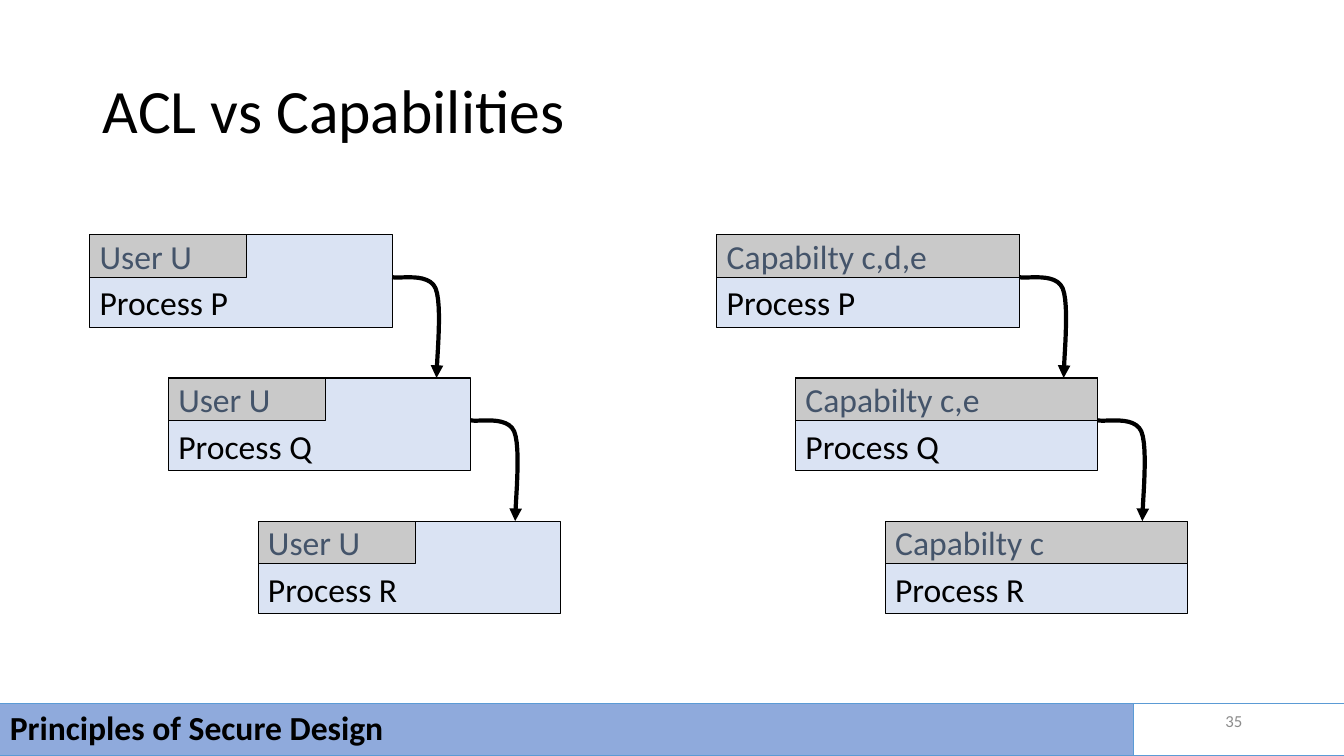
from lxml.etree import SubElement
from pptx import Presentation
from pptx.dml.color import RGBColor
from pptx.enum.shapes import MSO_SHAPE
from pptx.enum.text import MSO_ANCHOR, PP_ALIGN
from pptx.oxml.ns import qn
from pptx.util import Inches, Pt


def colour(value):
    return RGBColor.from_string(value)


def bezier(start, first, second, end, steps=12):
    for step in range(1, steps + 1):
        t = step / steps
        weights = ((1 - t) ** 3, 3 * t * (1 - t) ** 2, 3 * t * t * (1 - t), t ** 3)
        yield tuple(sum(w * point[axis] for w, point in zip(weights, (start, first, second, end)))
                    for axis in (0, 1))


class SlideBuilder:
    font = "Calibri"
    ink = "000000"
    rule = "5B9BD5"

    def __init__(self, slide):
        self.slide = slide
        self.shapes = slide.shapes

    def set_wording(self, frame, wording, size=24, ink=ink, bold=False,
                    anchor=MSO_ANCHOR.MIDDLE, align=PP_ALIGN.LEFT, spacing=None):
        frame.word_wrap = True
        frame.vertical_anchor = anchor
        frame.text = wording
        paragraph = frame.paragraphs[0]
        paragraph.alignment = align
        paragraph.line_spacing = spacing
        paragraph.font.name = self.font
        paragraph.font.size = Pt(size)
        paragraph.font.bold = bold
        paragraph.font.color.rgb = colour(ink)

    def title(self, wording, left, top, width, height):
        heading = self.shapes.title
        heading.left, heading.top = Inches(left), Inches(top)
        heading.width, heading.height = Inches(width), Inches(height)
        self.set_wording(heading.text_frame, wording, size=44, spacing=0.9)

    def text(self, wording, left, top, width, height, **style):
        area = self.shapes.add_textbox(Inches(left), Inches(top), Inches(width), Inches(height))
        self.set_wording(area.text_frame, wording, **style)

    def box(self, left, top, width, height, fill=None, line=ink, wording="", **style):
        panel = self.shapes.add_shape(MSO_SHAPE.RECTANGLE, Inches(left), Inches(top),
                                      Inches(width), Inches(height))
        panel.shadow.inherit = False
        if fill:
            panel.fill.solid()
            panel.fill.fore_color.rgb = colour(fill)
        else:
            panel.fill.background()
        panel.line.color.rgb = colour(line)
        panel.line.width = Pt(0.75)
        if wording:
            self.set_wording(panel.text_frame, wording, **style)

    def curved_arrow(self, left, top):
        bend = (0.43, 0.11)
        points = [*bezier((0, 0), (0.07, 0.02), (0.36, -0.05), bend),
                  *bezier(bend, (0.5, 0.28), (0.44, 0.82), (0.44, 1))]
        builder = self.shapes.build_freeform(Inches(left), Inches(top))
        builder.add_line_segments([(Inches(left + x), Inches(top + y)) for x, y in points],
                                  close=False)
        arrow = builder.convert_to_shape()
        arrow.shadow.inherit = False
        arrow.fill.background()
        arrow.line.color.rgb = colour(self.ink)
        arrow.line.width = Pt(3)
        SubElement(arrow.element.spPr.find(qn("a:ln")), qn("a:tailEnd"), type="triangle")


def main():
    deck = Presentation()
    deck.slide_width, deck.slide_height = Inches(13.33), Inches(7.5)
    page = SlideBuilder(deck.slides.add_slide(deck.slide_layouts[5]))
    page.title("ACL vs Capabilities", 0.92, 0.4, 11.5, 1.45)

    process_width, process_height, label_height = 3, 0.92, 0.42
    steps = [("P", 0, 2.33), ("Q", 0.78, 3.75), ("R", 1.67, 5.17)]
    models = [
        (0.89, 1.56, ["User U"] * 3),
        (7.11, process_width, ["Capabilty c,d,e", "Capabilty c,e", "Capabilty c"]),
    ]
    for model_left, label_width, labels in models:
        for (process, indent, top), label in zip(steps, labels):
            left = model_left + indent
            page.box(left, top, process_width, process_height, fill="DAE3F3",
                     wording=f"Process {process}", anchor=MSO_ANCHOR.BOTTOM)
            page.box(left, top, label_width, label_height, fill="C9C9C9",
                     wording=label, ink="44546A")
        for _, indent, top in steps[:-1]:
            page.curved_arrow(model_left + indent + process_width, top + label_height)

    page.box(0, 6.98, 11.24, 0.52, fill="8FAADC", line=page.rule,
             wording="Principles of Secure Design", bold=True, spacing=0.9)
    page.box(11.24, 6.98, 2.1, 0.52, line=page.rule)
    page.text("35", 9.42, 6.95, 3, 0.4, size=12, ink="8C8C8C", align=PP_ALIGN.RIGHT)
    deck.save("out.pptx")


if __name__ == "__main__":
    main()
